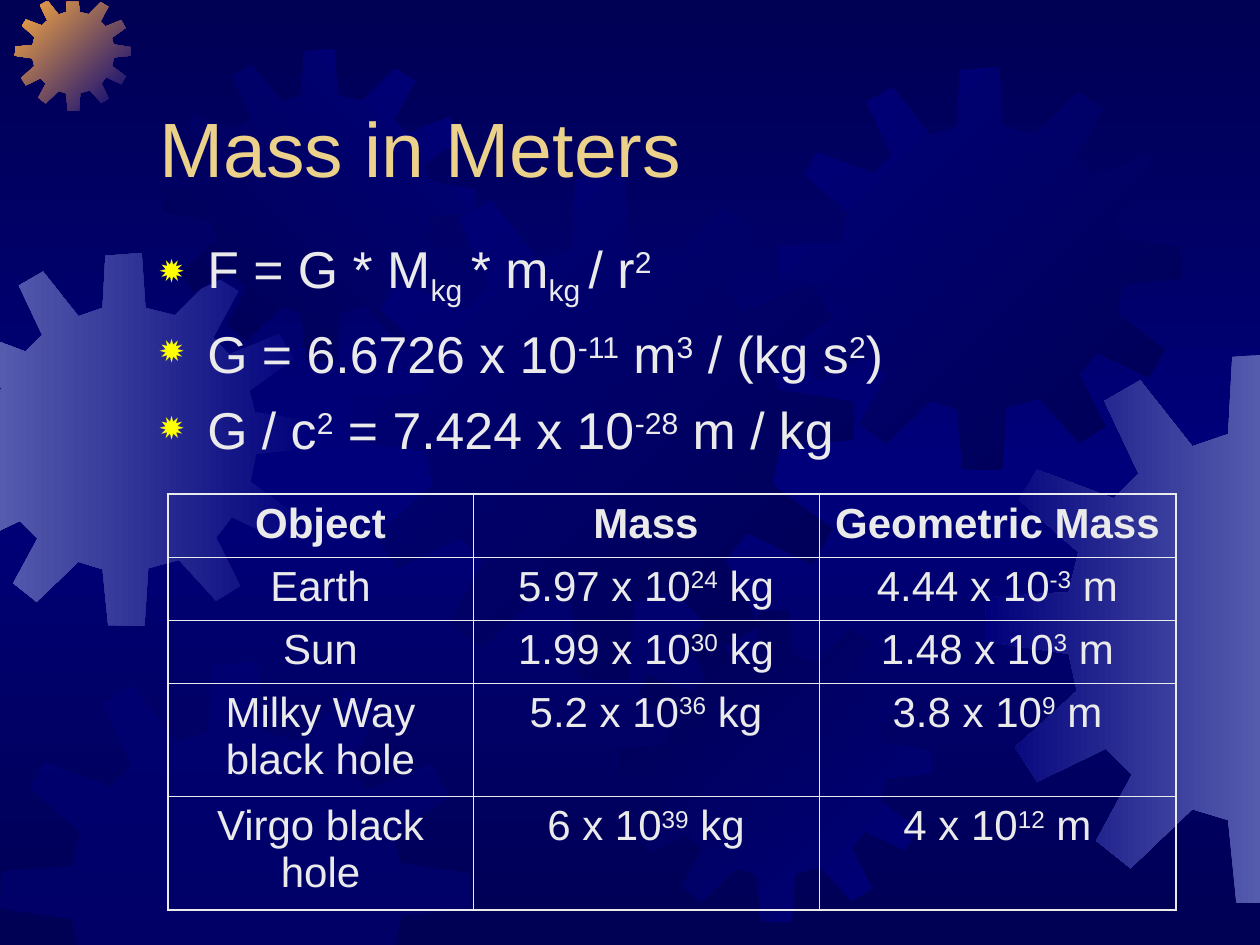
from lxml import etree
from copy import deepcopy
from pptx import Presentation, util as u
from pptx.dml.color import RGBColor
from pptx.enum import text as t
from pptx.oxml.ns import qn

PX = 914400 / 126
WIDTH, HEIGHT = 1260, 945
FONT = "Arial"
INK, TITLE_GOLD, BULLET_YELLOW = "EAEAEA", "EBD189", "FFFF00"
NAVY, BLUE, LILAC, ORANGE = "000054", "00007A", "555BAD", "FCAB40"

TITLE = "Mass in Meters"
# "|" separates runs; a leading "^" raises a run and "_" lowers it
FORMULAS = [
    "F = G * M|_kg |* m|_kg |/ r|^2",
    "G = 6.6726 x 10|^-11| m|^3| / (kg s|^2|)",
    "G / c|^2| = 7.424 x 10|^-28| m / kg",
]
MASSES = [
    ("Object", "Mass", "Geometric Mass"),
    ("Earth", "5.97 x 10|^24| kg", "4.44 x 10|^-3| m"),
    ("Sun", "1.99 x 10|^30| kg", "1.48 x 10|^3| m"),
    ("Milky Way black hole", "5.2 x 10|^36| kg", "3.8 x 10|^9| m"),
    ("Virgo black hole", "6 x 10|^39| kg", "4 x 10|^12| m"),
]
COLUMN_WIDTHS = [305, 346, 357]
ROW_HEIGHTS = [63, 63, 63, 113, 113]
OUTER_LINE, INNER_LINE = 1.08, 0.45

GEAR_SPAN = 401
GEAR_OUTLINE = [
    (255, 67), (223, 59), (219, 0), (180, 3), (177, 59), (151, 68), (113, 20), (87, 35),
    (112, 88), (94, 106), (38, 85), (25, 107), (68, 145), (61, 174), (1, 178), (0, 210),
    (61, 219), (67, 246), (22, 287), (38, 312), (88, 288), (107, 307), (81, 355), (106, 375),
    (151, 332), (177, 340), (183, 400), (222, 401), (226, 339), (259, 330), (299, 374), (325, 358),
    (299, 306), (316, 284), (368, 309), (384, 281), (336, 246), (342, 216), (401, 210), (400, 180),
    (341, 171), (335, 148), (383, 114), (367, 87), (313, 109), (296, 91), (323, 41), (297, 25),
]
# left, top, size, colours, clockwise gradient angle
GEARS = [
    (-62, 253, 373, (BLUE, LILAC), 180),
    (15, -5, 116, (BLUE, ORANGE), 225),
    (164, 49, 312, (BLUE, NAVY), 135),
    (349, 175, 505, (NAVY, BLUE), 225),
    (0, 662, 471, (BLUE,), None),
    (619, 610, 312, (BLUE, NAVY), 225),
    (779, 67, 403, (NAVY, BLUE), 225),
    (985, 353, 551, (LILAC, BLUE), 180),
]
# axis, limit, side to keep
GEAR_LIMITS = [(0, 0, 1), (0, WIDTH, -1), (1, 2, 1), (1, HEIGHT, -1)]


def px(length):
    return u.Emu(round(length * PX))


def rgb(colour):
    return RGBColor.from_string(colour)


def add_xml(parent, tag, **attributes):
    return etree.SubElement(parent, qn(tag), {k: str(v) for k, v in attributes.items()})


def paint_gradient(fill, owner, colours, angle):
    """Spread the colours evenly along a clockwise angle."""
    fill.gradient()
    fill.gradient_angle = (360 - angle) % 360
    stop_list = next(owner.iter(qn("a:gsLst")))
    while len(stop_list) < len(colours):
        stop_list.append(deepcopy(stop_list[0]))
    for i, (stop, colour) in enumerate(zip(fill.gradient_stops, colours)):
        stop.position = i / (len(colours) - 1)
        stop.color.rgb = rgb(colour)


def clip(points, axis, limit, side):
    """Cut a polygon at one straight limit."""
    kept = []
    for a, b in zip(points, points[1:] + points[:1]):
        a_gap, b_gap = (side * (p[axis] - limit) for p in (a, b))
        if a_gap >= 0:
            kept.append(a)
        if a_gap * b_gap < 0:
            share = a_gap / (a_gap - b_gap)
            kept.append(tuple(m + share * (n - m) for m, n in zip(a, b)))
    return kept


def add_gear(slide, left, top, size, colours, angle):
    scale = size / GEAR_SPAN
    points = [(left + x * scale, top + y * scale) for x, y in GEAR_OUTLINE]
    for limit in GEAR_LIMITS:
        points = clip(points, *limit)
    points = [(px(x), px(y)) for x, y in points]
    builder = slide.shapes.build_freeform(*points[0], scale=1.0)
    builder.add_line_segments(points[1:], close=True)
    gear = builder.convert_to_shape()
    gear.shadow.inherit = False
    gear.line.fill.background()
    if angle is None:
        gear.fill.solid()
        gear.fill.fore_color.rgb = rgb(colours[0])
        add_xml(next(gear.element.spPr.iter(qn("a:srgbClr"))), "a:alpha", val=50000)
    else:
        paint_gradient(gear.fill, gear.element.spPr, colours, angle)


def write(paragraph, content, size, colour=INK, bold=False):
    for piece in content.split("|"):
        baseline = {"^": 30000, "_": -25000}.get(piece[0])
        run = paragraph.add_run()
        run.text = piece[1:] if baseline else piece
        run.font.name, run.font.size, run.font.bold = FONT, u.Pt(size), bold
        run.font.color.rgb = rgb(colour)
        if baseline:
            run.font._element.set("baseline", str(baseline))


def add_text_frame(slide, *box):
    frame = slide.shapes.add_textbox(*map(px, box)).text_frame
    frame.word_wrap = True
    return frame


def add_bullet(paragraph):
    properties = paragraph._p.get_or_add_pPr()
    properties.set("marL", str(px(48)))
    properties.set("indent", str(px(-48)))
    add_xml(add_xml(properties, "a:buClr"), "a:srgbClr", val=BULLET_YELLOW)
    add_xml(properties, "a:buSzPct", val=80000)
    add_xml(properties, "a:buChar", char="✹")


def add_borders(cell, row, column):
    edges = {
        "a:lnL": column == 0,
        "a:lnR": column == len(COLUMN_WIDTHS) - 1,
        "a:lnT": row == 0,
        "a:lnB": row == len(ROW_HEIGHTS) - 1,
    }
    for tag, outer in edges.items():
        width = u.Pt(OUTER_LINE if outer else INNER_LINE)
        line = add_xml(cell._tc.get_or_add_tcPr(), tag, w=width)
        add_xml(add_xml(line, "a:solidFill"), "a:srgbClr", val=INK)


def add_mass_table(slide, left, top):
    table = slide.shapes.add_table(
        len(MASSES), len(COLUMN_WIDTHS), px(left), px(top),
        px(sum(COLUMN_WIDTHS)), px(sum(ROW_HEIGHTS))).table
    table.first_row = table.horz_banding = False
    for column, width in zip(table.columns, COLUMN_WIDTHS):
        column.width = px(width)
    for r, contents in enumerate(MASSES):
        table.rows[r].height = px(ROW_HEIGHTS[r])
        for c, content in enumerate(contents):
            cell = table.cell(r, c)
            add_borders(cell, r, c)
            cell.fill.background()
            paragraph = cell.text_frame.paragraphs[0]
            paragraph.alignment = t.PP_ALIGN.CENTER
            write(paragraph, content, 24, bold=r == 0)


def main():
    deck = Presentation()
    deck.slide_width, deck.slide_height = px(WIDTH), px(HEIGHT)
    slide = deck.slides.add_slide(deck.slide_layouts[6])
    paint_gradient(slide.background.fill, slide.element, (NAVY, BLUE, NAVY), 90)
    for gear in GEARS:
        add_gear(slide, *gear)

    title = add_text_frame(slide, 147, 42, 1071, 157)
    title.vertical_anchor = t.MSO_ANCHOR.BOTTOM
    write(title.paragraphs[0], TITLE, 44, TITLE_GOLD)

    body = add_text_frame(slide, 147, 231, 1071, 242)
    for i, formula in enumerate(FORMULAS):
        paragraph = body.add_paragraph() if i else body.paragraphs[0]
        if i:
            paragraph.space_before = u.Pt(8)
        add_bullet(paragraph)
        write(paragraph, formula, 29.6)

    add_mass_table(slide, 168, 494)
    deck.save("out.pptx")


if __name__ == "__main__":
    main()
